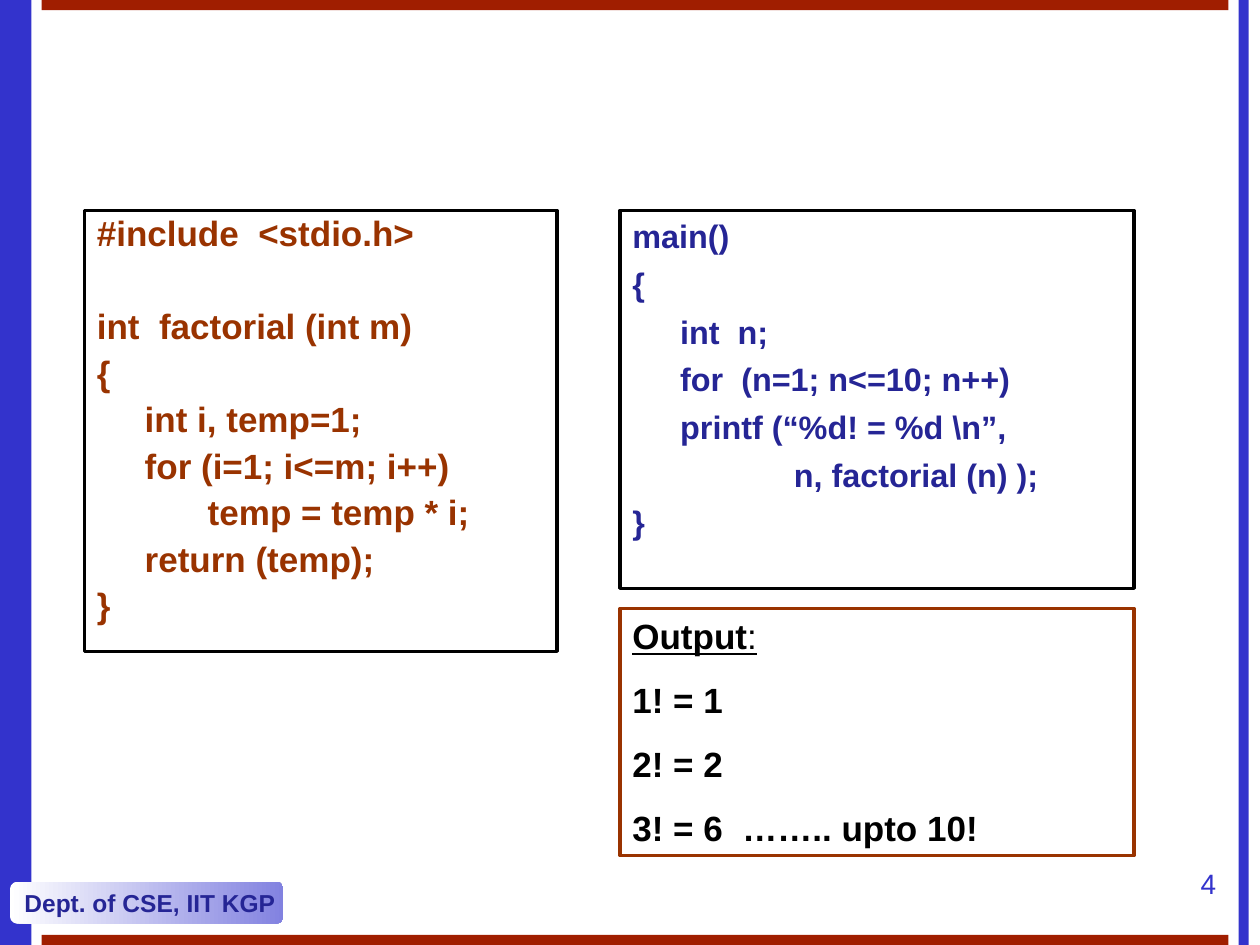
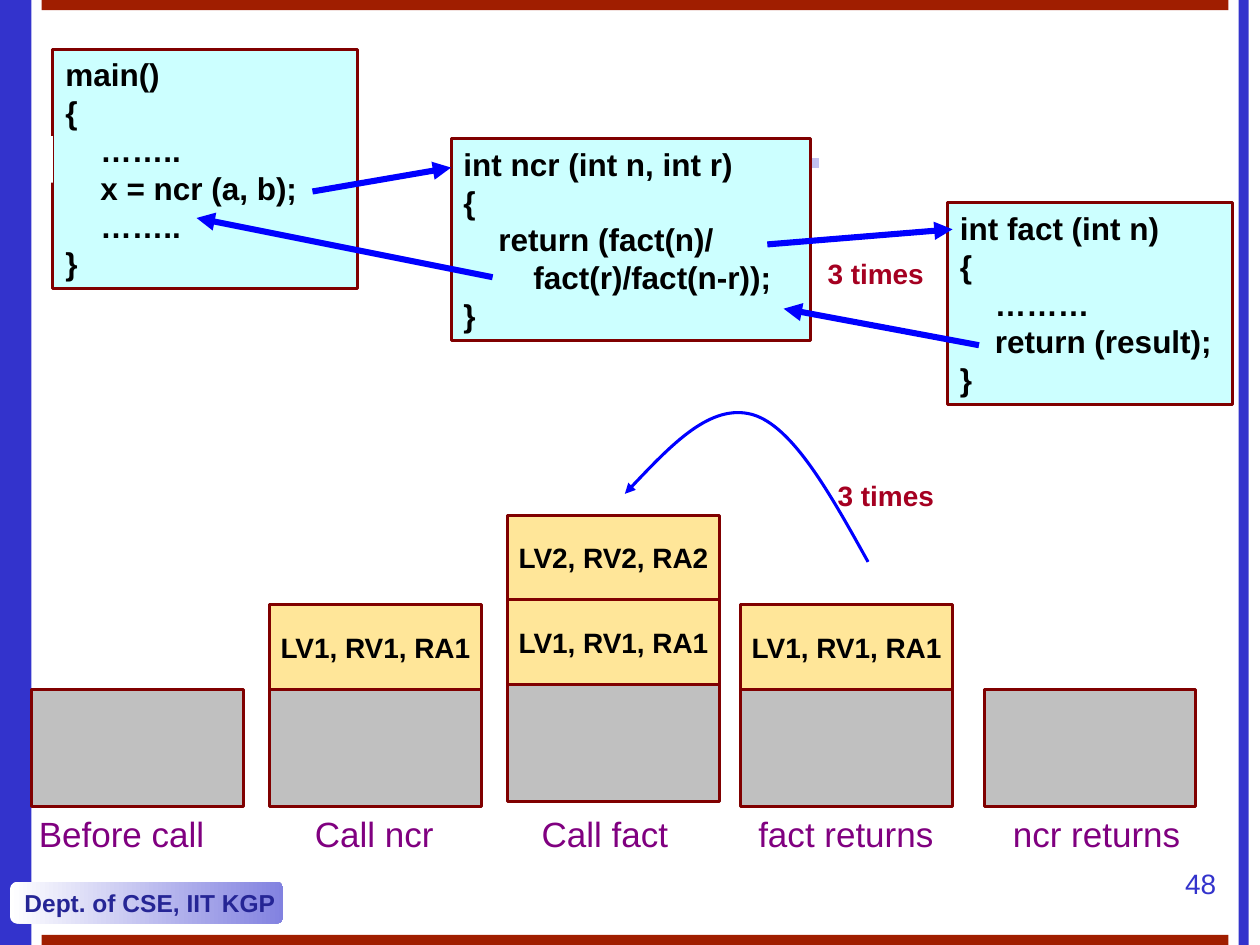
from lxml import etree
from pptx import Presentation
from pptx.dml.color import RGBColor
from pptx.enum.shapes import MSO_CONNECTOR, MSO_SHAPE
from pptx.enum.text import MSO_ANCHOR, PP_ALIGN
from pptx.oxml.ns import qn
from pptx.util import Inches, Pt

RECTANGLE, ROUNDED = MSO_SHAPE.RECTANGLE, MSO_SHAPE.ROUNDED_RECTANGLE
STRAIGHT = MSO_CONNECTOR.STRAIGHT
LEFT, CENTER, RIGHT = PP_ALIGN.LEFT, PP_ALIGN.CENTER, PP_ALIGN.RIGHT
TOP, MIDDLE = MSO_ANCHOR.TOP, MSO_ANCHOR.MIDDLE

FONT = "Arial"
BLACK, WHITE = "000000", "FFFFFF"
BAND_BLUE, BAND_RED, LAVENDER = "3333CC", "A01E00", "8282E0"
NAVY, BROWN, MAROON, CRIMSON = "252595", "993300", "800000", "A50021"
CYAN, GREY, YELLOW = "CCFFFF", "C0C0C0", "FFE699"
PURPLE, ARROW_BLUE = "800080", "0000FF"

# Content shared by both slides
DEPARTMENT = "Dept. of CSE, IIT KGP"
BANDS = [  # left, top, width, height, colour
    (0, 0, 0.25, 7.5, BAND_BLUE),
    (9.83, 0, 0.08, 7.5, BAND_BLUE),
    (0.33, 0, 9.42, 0.08, BAND_RED),
    (0.33, 7.42, 9.42, 0.08, BAND_RED),
]

# Content of the factorial slide
FACTORIAL_CODE = [
    "#include  <stdio.h>",
    "int  factorial (int m)",
    "{",
    "\tint i, temp=1;",
    "\tfor (i=1; i<=m; i++)",
    "\t\ttemp = temp * i;",
    "\treturn (temp);",
    "}",
]
MAIN_CODE = [
    "main()",
    "{",
    "\tint  n;",
    "\tfor  (n=1; n<=10; n++)",
    "\tprintf (“%d! = %d \\n”,",
    "                  n, factorial (n) );",
    "}",
]
OUTPUT_LINES = ["Output:", "1! = 1", "2! = 2", "3! = 6  …….. upto 10!"]

# Content of the call stack slide
FUNCTIONS = [  # box, code lines
    ((0.42, 0.39, 2.42, 1.9),
     ["main()", "{", "    ……..", "    x = ncr (a, b);", "    ……..", "}"]),
    ((3.58, 1.1, 2.85, 1.6),
     ["int ncr (int n, int r)", "{", "    return (fact(n)/",
      "        fact(r)/fact(n-r));", "}"]),
    ((7.52, 1.61, 2.26, 1.6),
     ["int fact (int n)", "{", "    ………", "    return (result);", "}"]),
]
CALL_ARROWS = [  # start, end
    ((2.48, 1.52), (3.58, 1.33)),
    ((3.91, 2.2), (1.56, 1.73)),
    ((6.09, 1.94), (7.56, 1.82)),
    ((7.77, 2.74), (6.22, 2.45)),
]
STACKS = [  # left, base top, frames from the bottom, label, label left, label width
    (0.25, 5.47, [], "Before call", 0.21, 2.06),
    (2.14, 5.47, ["LV1, RV1, RA1"], "Call ncr", 2.4, 1.55),
    (4.03, 5.43, ["LV1, RV1, RA1", "LV2, RV2, RA2"], "Call fact", 4.2, 1.35),
    (5.88, 5.47, ["LV1, RV1, RA1"], "fact returns", 5.92, 1.6),
    (7.81, 5.47, [], "ncr returns", 7.94, 1.6),
]
STACK_WIDTH, BASE_HEIGHT, FRAME_HEIGHT = 1.68, 0.93, 0.67
REPEAT_NOTES = [(6.47, 1.99), (6.55, 3.75)]
RETURN_CURVE = [(6.89, 4.46), (6.59, 3.92), (6.29, 3.38), (5.97, 3.29),
                (5.64, 3.2), (5.3, 3.56), (4.96, 3.92)]


def rgb(colour):
    return RGBColor.from_string(colour)


def set_line(shape, colour, width):
    shape.line.color.rgb = rgb(colour)
    shape.line.width = Pt(width)


def add_box(slide, box, fill=None, line=None, line_width=1.75, kind=RECTANGLE):
    shape = slide.shapes.add_shape(kind, *map(Inches, box))
    shape.shadow.inherit = False
    if fill is None:
        shape.fill.background()
    elif isinstance(fill, tuple):
        shape.fill.gradient()
        shape.fill.gradient_angle = 0
        for stop, colour in zip(shape.fill.gradient_stops, fill):
            stop.color.rgb = rgb(colour)
    else:
        shape.fill.solid()
        shape.fill.fore_color.rgb = rgb(fill)
    if line:
        set_line(shape, line, line_width)
    else:
        shape.line.fill.background()
    return shape


def add_text_box(slide, box):
    return slide.shapes.add_textbox(*map(Inches, box))


def write(shape, lines, size, colour, bold=False, align=LEFT, anchor=TOP,
          wrap=True, gap=0, spacing=None):
    text_frame = shape.text_frame
    text_frame.text = "\n".join(lines)
    text_frame.word_wrap = wrap
    text_frame.vertical_anchor = anchor
    for index, paragraph in enumerate(text_frame.paragraphs):
        paragraph.alignment = align
        paragraph.space_before = Pt(gap if index else 0)
        if spacing:
            paragraph.line_spacing = spacing
        for run in paragraph.runs:
            run.font.name = FONT
            run.font.size = Pt(size)
            run.font.bold = bold
            run.font.color.rgb = rgb(colour)
    return text_frame.paragraphs


def indent_code(paragraphs):
    """Hanging indent with a tab stop at every inch."""
    for paragraph in paragraphs:
        properties = paragraph._p.get_or_add_pPr()
        properties.set("marL", str(Inches(0.38)))
        properties.set("indent", str(-Inches(0.38)))
        tabs = etree.SubElement(properties, qn("a:tabLst"))
        for position in range(8):
            etree.SubElement(tabs, qn("a:tab"), pos=str(Inches(position)), algn="l")


def add_arrowhead(shape):
    etree.SubElement(shape.line._get_or_add_ln(), qn("a:tailEnd"), type="triangle")


def add_arrow(slide, start, end):
    arrow = slide.shapes.add_connector(STRAIGHT, *map(Inches, start + end))
    set_line(arrow, ARROW_BLUE, 3.5)
    add_arrowhead(arrow)
    etree.SubElement(arrow._element.spPr, qn("a:effectLst"))


def add_curved_arrow(slide, points):
    points = [(Inches(x), Inches(y)) for x, y in points]
    builder = slide.shapes.build_freeform(*points[0])
    builder.add_line_segments(points[1:], close=False)
    curve = builder.convert_to_shape()
    curve.shadow.inherit = False
    curve.fill.background()
    set_line(curve, ARROW_BLUE, 1.75)
    add_arrowhead(curve)
    # Every three segments become one Bezier segment
    outline = next(curve._element.iter(qn("a:path")))
    segments = outline.findall(qn("a:lnTo"))
    for first in range(0, len(segments), 3):
        bezier = etree.SubElement(outline, qn("a:cubicBezTo"))
        for segment in segments[first:first + 3]:
            bezier.append(segment[0])
            outline.remove(segment)


def add_slide(presentation, number, title_rule=False):
    slide = presentation.slides.add_slide(presentation.slide_layouts[6])
    for *box, colour in BANDS:
        add_box(slide, box, colour)
    if title_rule:
        add_box(slide, (0.33, 1.25, 8.83, 0.08), (BAND_BLUE, WHITE))
    badge = add_box(slide, (0.08, 7, 2.17, 0.33), (WHITE, LAVENDER), kind=ROUNDED)
    write(badge, [DEPARTMENT], 14, NAVY, bold=True, anchor=MIDDLE, wrap=False)
    page = add_text_box(slide, (9.17, 6.83, 0.58, 0.5))
    write(page, [str(number)], 16, BAND_BLUE, align=RIGHT)
    return slide


def build_factorial_slide(presentation):
    slide = add_slide(presentation, 4)
    # Function and main program
    function_box = add_box(slide, (0.67, 1.67, 3.75, 3.5), line=BLACK, line_width=2)
    paragraphs = write(function_box, FACTORIAL_CODE, 20, BROWN, bold=True,
                       gap=5, spacing=0.9)
    paragraphs[1].space_before = Pt(31.5)
    indent_code(paragraphs)
    main_box = add_box(slide, (4.92, 1.67, 4.08, 3), line=BLACK, line_width=2)
    indent_code(write(main_box, MAIN_CODE, 18.5, NAVY, bold=True, gap=5))
    # Output with an underlined heading and a light colon
    output_box = add_box(slide, (4.92, 4.83, 4.08, 1.96), line=BROWN, line_width=2)
    heading = write(output_box, OUTPUT_LINES, 20, BLACK, bold=True, gap=12.5)[0]
    word = heading.runs[0]
    word.text = word.text.rstrip(":")
    colon = heading.add_run()
    colon.text = ":"
    colon.font.name = FONT
    colon.font.size = Pt(20)
    colon.font.color.rgb = rgb(BLACK)
    for run in heading.runs:
        run.font.underline = True


def build_stack_slide(presentation):
    slide = add_slide(presentation, 48, title_rule=True)
    add_box(slide, (2.75, 1.08, 0.83, 0.37), WHITE)
    # Functions and the calls between them
    for box, code in FUNCTIONS:
        write(add_box(slide, box, CYAN, MAROON), code, 18, BLACK, bold=True)
    for start, end in CALL_ARROWS:
        add_arrow(slide, start, end)
    # Stack states, frames growing upwards from the base
    for left, top, frames, label, label_left, label_width in STACKS:
        add_box(slide, (left, top, STACK_WIDTH, BASE_HEIGHT), GREY, MAROON)
        for level, frame in enumerate(frames, start=1):
            box = (left, top - level * FRAME_HEIGHT, STACK_WIDTH, FRAME_HEIGHT)
            write(add_box(slide, box, YELLOW, MAROON), [frame], 16, BLACK,
                  bold=True, align=CENTER, anchor=MIDDLE, wrap=False)
        caption = add_text_box(slide, (label_left, 6.4, label_width, 0.44))
        write(caption, [label], 20, PURPLE)
    # Repeated calls
    add_curved_arrow(slide, RETURN_CURVE)
    for left, top in REPEAT_NOTES:
        note = add_text_box(slide, (left, top, 1.43, 0.37))
        write(note, ["3 times"], 16, CRIMSON, bold=True)
    # White gaps in the title rule
    for left, width in [(0.3, 0.12), (6.5, 2.58)]:
        add_box(slide, (left, 1.08, width, 0.37), WHITE)


def main():
    presentation = Presentation()
    presentation.slide_width = Inches(10)
    presentation.slide_height = Inches(7.5)
    build_factorial_slide(presentation)
    build_stack_slide(presentation)
    presentation.save("out.pptx")


if __name__ == "__main__":
    main()
